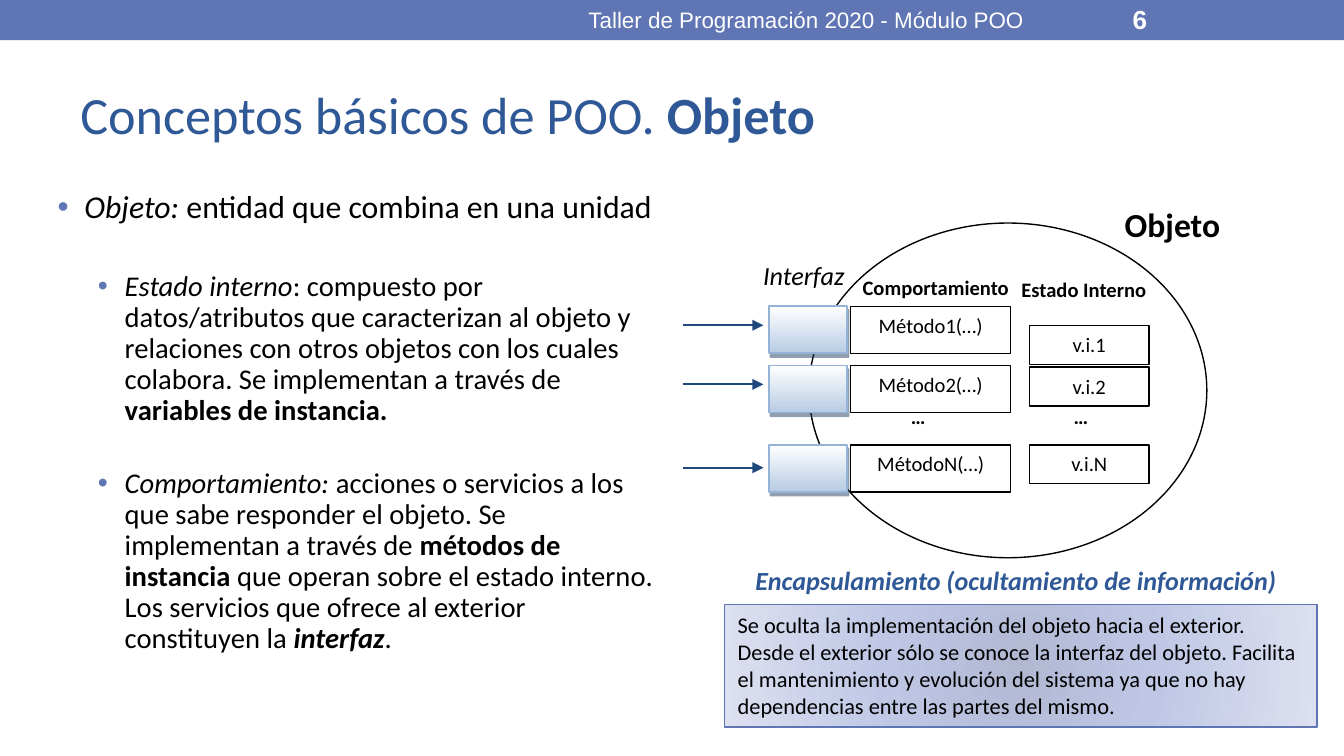
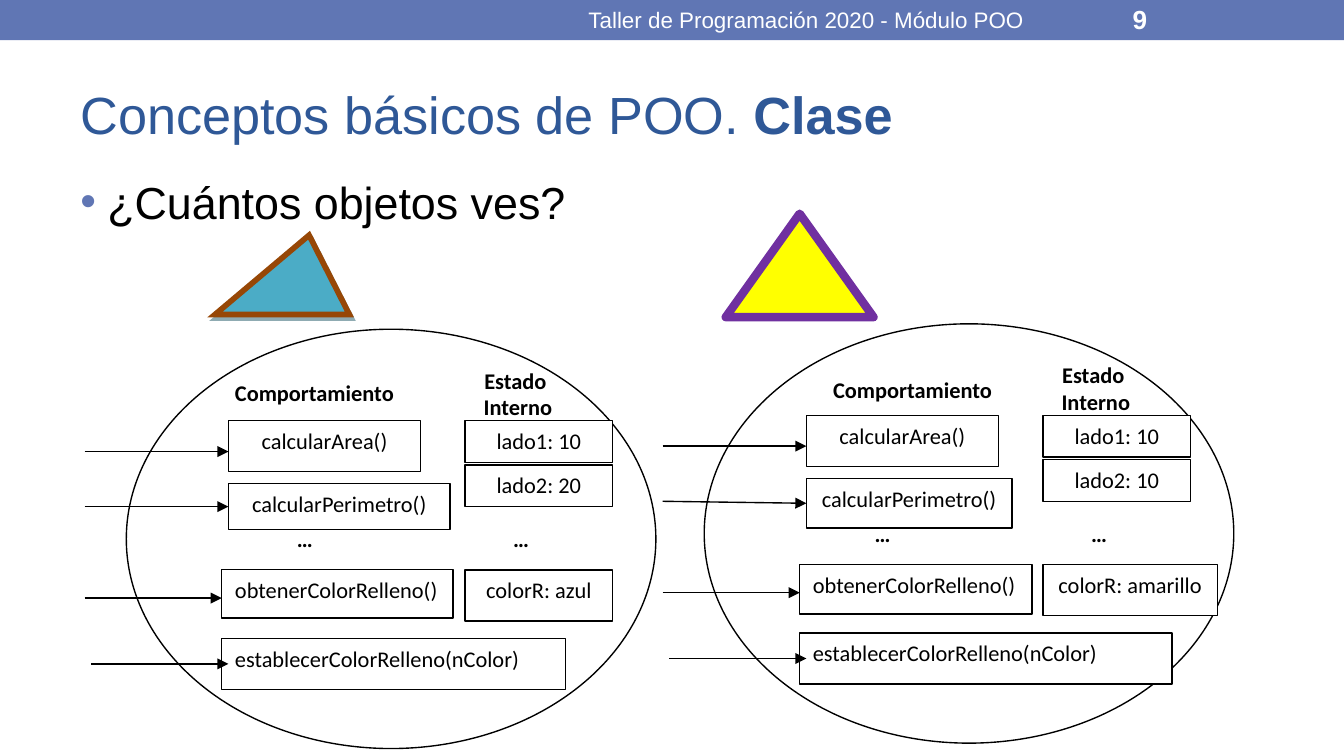
from pptx import Presentation
from pptx.dml.color import RGBColor
from pptx.enum.shapes import MSO_CONNECTOR as CONN, MSO_SHAPE as SHAPE
from pptx.enum.text import MSO_ANCHOR as ANCHOR, PP_ALIGN as ALIGN
from pptx.oxml import parse_xml
from pptx.oxml.ns import nsdecls, qn
from pptx.util import Inches, Pt

# Shared look
BAND = "6076B4"
TITLE = "2F5897"
BLACK = "000000"
WHITE = "FFFFFF"
NAVY = "1F497D"
FOOTER = "Taller de Programación 2020 - Módulo POO"
HEADING = "Conceptos básicos de POO. "


def rgb(value):
    return RGBColor.from_string(value)


def add_xml(parent, xml):
    """Append a drawing element written without its namespace declaration."""
    tag, rest = xml.split(" ", 1)
    parent.append(parse_xml(f"{tag} {nsdecls('a')} {rest}"))


# Text
def add_run(p, text, size=12, font="Calibri", color=BLACK, bold=False, italic=False):
    r = p.add_run()
    r.text = text
    f = r.font
    f.size, f.name, f.bold, f.italic = Pt(size), font, bold, italic
    f.color.rgb = rgb(color)


def set_bullet(p, left, hanging=0.2):
    pPr = p._p.get_or_add_pPr()
    pPr.set("marL", str(Inches(left)))
    pPr.set("indent", str(-Inches(hanging)))
    add_xml(pPr, f'<a:buClr ><a:srgbClr val="{BAND}"/></a:buClr>')
    add_xml(pPr, '<a:buFont typeface="Arial"/>')
    add_xml(pPr, '<a:buChar char="•"/>')


def prepare_frame(tf, anchor=ANCHOR.TOP):
    tf.word_wrap = True
    tf.vertical_anchor = anchor
    tf.margin_left = tf.margin_right = Inches(0.1)
    tf.margin_top = tf.margin_bottom = Inches(0.05)


def add_text(parent, at, *lines, align=ALIGN.LEFT, anchor=ANCHOR.TOP, **fmt):
    tf = parent.add_textbox(*map(Inches, at)).text_frame
    prepare_frame(tf, anchor)
    for i, line in enumerate(lines):
        p = tf.paragraphs[0] if i == 0 else tf.add_paragraph()
        p.alignment = align
        add_run(p, line, **fmt)
    return tf


# Shapes
def add_shape(parent, kind, at, fill=WHITE, line=BLACK, width=0.75):
    sp = parent.add_shape(kind, *map(Inches, at))
    sp.shadow.inherit = False
    sp.fill.solid()
    sp.fill.fore_color.rgb = rgb(fill)
    if line:
        sp.line.color.rgb = rgb(line)
        sp.line.width = Pt(width)
    else:
        sp.line.fill.background()
    return sp


def add_box(parent, at, text, size=12, align=ALIGN.CENTER, **look):
    sp = add_shape(parent, SHAPE.RECTANGLE, at, **look)
    prepare_frame(sp.text_frame)
    p = sp.text_frame.paragraphs[0]
    p.alignment = align
    add_run(p, text, size=size)
    return sp


def set_gradient(sp, stops, direction):
    gs = "".join(f'<a:gs pos="{pos * 1000}"><a:srgbClr val="{color}"/></a:gs>'
                 for pos, color in stops)
    spPr = sp._element.spPr
    spPr.replace(spPr.find(qn("a:solidFill")), parse_xml(
        f'<a:gradFill {nsdecls("a")} rotWithShape="1"><a:gsLst>{gs}</a:gsLst>'
        f"{direction}</a:gradFill>"))


def add_shadow(sp, color):
    add_xml(sp._element.spPr.find(qn("a:effectLst")),
            f'<a:outerShdw blurRad="0" dist="{Pt(2.2)}" dir="{63 * 60000}" '
            f'algn="ctr" rotWithShape="0"><a:srgbClr val="{color}">'
            '<a:alpha val="50000"/></a:srgbClr></a:outerShdw>')


def add_arrow(parent, x1, x2, y, color=BLACK, width=0.75, target=None):
    cx = parent.add_connector(CONN.STRAIGHT, *map(Inches, (x1, y, x2, y)))
    if target is not None:
        cx.end_connect(target, 1)
    cx.line.color.rgb = rgb(color)
    cx.line.width = Pt(width)
    add_xml(cx.line._get_or_add_ln(), '<a:tailEnd type="triangle"/>')
    add_xml(cx._element.spPr, "<a:effectLst />")


def add_triangle(parent, at, peak, fill, line, width, join):
    sp = add_shape(parent, SHAPE.ISOSCELES_TRIANGLE, at, fill, line, width)
    sp.adjustments[0] = peak
    add_xml(sp.line._get_or_add_ln(), join)
    return sp


# Slide frame: band, title, footer, number
def new_slide(prs, topic, number, font):
    s = prs.slides.add_slide(prs.slide_layouts[6])
    add_shape(s.shapes, SHAPE.RECTANGLE, (0, 0, 10, 0.3), BAND, None)
    tf = add_text(s.shapes, (0.5, 0.44, 9, 0.81), HEADING, anchor=ANCHOR.MIDDLE,
                  size=28, font=font, color=TITLE)
    add_run(tf.paragraphs[0], topic, size=28, font=font, color=TITLE, bold=True)
    add_text(s.shapes, (3.75, 0.01, 4.5, 0.27), FOOTER, align=ALIGN.CENTER,
             anchor=ANCHOR.MIDDLE, font="Arial", color=WHITE)
    add_text(s.shapes, (8.33, 0.01, 1.17, 0.27), str(number), anchor=ANCHOR.MIDDLE,
             size=14, font="Arial", color=WHITE, bold=True)
    return s


# Slide 1 parts
DEFINITION = [  # size, left indent, space before, runs
    (17, 0.2, 0, [("Objeto: ", "i"), ("entidad que combina en una unidad", "")]),
    (15.3, 0.5, 25.2, [
        ("Estado interno", "i"),
        (": compuesto por datos/atributos que caracterizan al objeto y relaciones con "
         "otros objetos con los cuales colabora. Se implementan a través de ", ""),
        ("variables de instancia.", "b")]),
    (15.3, 0.5, 23, [
        ("Comportamiento: ", "i"),
        ("acciones o servicios a los que sabe responder el objeto. "
         "Se implementan a través de ", ""),
        ("métodos de instancia", "b"),
        (" que operan sobre el estado interno. Los servicios que ofrece al exterior "
         "constituyen la ", ""),
        ("interfaz", "bi"), (".", "")]),
]


def add_definition(s):
    tf = s.shapes.add_textbox(*map(Inches, (0.33, 1.37, 4.7, 4.12))).text_frame
    prepare_frame(tf)
    for i, (size, left, before, runs) in enumerate(DEFINITION):
        p = tf.paragraphs[0] if i == 0 else tf.add_paragraph()
        p.level = int(i > 0)
        p.line_spacing = 0.9
        p.space_before = Pt(before)
        set_bullet(p, left)
        for text, style in runs:
            add_run(p, text, size=size, bold="b" in style, italic="i" in style)


def add_object_anatomy(s):
    g = s.shapes.add_group_shape().shapes
    add_shape(g, SHAPE.OVAL, (6.02, 1.66, 2.96, 2.49))
    rows = [("1", 2.28, 2.42, 2.42), ("2", 2.72, 2.73, 2.86), ("N", 3.31, 3.31, 3.48)]
    for name, method_y, state_y, arrow_y in rows:
        add_box(g, (6.33, method_y, 1.19, 0.35), f"Método{name}(…)", size=11)
        add_box(g, (7.66, state_y, 0.89, 0.29), f"v.i.{name}", size=11)
        port = add_shape(g, SHAPE.RECTANGLE, (5.72, method_y, 0.58, 0.35),
                         line="95B3D7", width=1)
        set_gradient(port, [(0, WHITE), (100, "B8CCE4")],
                     '<a:lin ang="5400000" scaled="0"/>')
        add_shadow(port, "243F60")
        add_arrow(g, 5.08, 5.68, arrow_y, NAVY, 1)
    add_text(g, (6.32, 2, 1.43, 0.45), "Comportamiento", size=11, bold=True)
    add_text(g, (7.4, 2.01, 1.33, 0.3), "Estado Interno", align=ALIGN.CENTER,
             size=11, bold=True)
    for x in (6.68, 7.89):
        add_text(g, (x, 2.96, 1.27, 0.43), "…", size=11, bold=True)
    add_text(g, (8.27, 1.47, 0.98, 0.41), "Objeto", size=18, bold=True)
    add_text(g, (5.58, 1.88, 0.87, 0.39), "Interfaz", size=14, italic=True)


def add_encapsulation(s):
    add_text(s.shapes, (5.25, 4.15, 4.62, 0.34),
             "Encapsulamiento (ocultamiento de información)", align=ALIGN.CENTER,
             size=14, color=TITLE, bold=True, italic=True)
    note = add_box(s.shapes, (5.39, 4.5, 4.41, 0.91),
                   "Se oculta la implementación del objeto hacia el exterior. Desde el "
                   "exterior sólo se conoce la interfaz del objeto. Facilita el "
                   "mantenimiento y evolución del sistema ya que no hay dependencias "
                   "entre las partes del mismo.", align=ALIGN.LEFT, line=BAND)
    set_gradient(note, [(0, "B2B8D2"), (45, "BFC7E5"), (100, "DCE0F0")],
                 '<a:path path="circle"><a:fillToRect l="50000" t="50000" '
                 'r="50000" b="50000"/></a:path>')


# Slide 2 parts
def add_instance(s, x, y, side2, fill_name, label, perimeter, getter, setter_w, fill_w):
    """Object diagram with its ellipse at x, y; sizes vary with the instance."""
    g = s.shapes.add_group_shape().shapes

    def at(dx, dy, w, h):
        return x + dx, y + dy, w, h

    add_shape(g, SHAPE.OVAL, at(0, 0, 3.94, 3.12))
    # Methods
    add_box(g, at(0.76, 0.68, 1.43, 0.38), "calcularArea()")
    perimeter_box = add_box(g, at(0.76, 1.15, *perimeter), "calcularPerimetro()")
    add_box(g, at(0.71, 1.79, *getter), "obtenerColorRelleno()", align=ALIGN.LEFT)
    add_box(g, at(0.71, 2.3, setter_w, 0.38), "establecerColorRelleno(nColor)",
            align=ALIGN.LEFT)
    # State
    for dy, w, h, text in [(0.68, 1.1, 0.31, "lado1: 10"),
                           (1.01, 1.1, 0.31, f"lado2: {side2}"),
                           (1.79, fill_w, 0.38, f"colorR: {fill_name}")]:
        add_box(g, at(2.52, dy, w, h), text)
    # Labels
    add_text(g, at(*label, 1.5, 0.43), "Comportamiento", bold=True)
    add_text(g, at(2.17, 0.23, 1.45, 0.43), "Estado", " Interno",
             align=ALIGN.CENTER, bold=True)
    for dx in (1.17, 2.78):
        add_text(g, at(dx, 1.41, 1.39, 0.47), "…", bold=True)
    # Messages
    for x1, x2, dy, target in [(-0.31, 0.76, 0.91, None),
                               (-0.31, 0.76, 1.32, perimeter_box),
                               (-0.31, 0.71, 2, None), (-0.26, 0.76, 2.49, None)]:
        add_arrow(g, x + x1, x + x2, y + dy, target=target)


def main():
    prs = Presentation()
    prs.slide_width = Inches(10)
    prs.slide_height = Inches(10 * 9 / 16)

    # Slide 1: object
    s = new_slide(prs, "Objeto", 6, "Calibri")
    add_definition(s)
    add_object_anatomy(s)
    add_encapsulation(s)

    # Slide 2: class
    s = new_slide(prs, "Clase", 9, "Arial")
    tf = add_text(s.shapes, (0.5, 1.25, 9.07, 0.87), "¿Cuántos objetos ves?",
                  size=24, font="Arial")
    set_bullet(tf.paragraphs[0], 0.2)
    add_instance(s, 0.94, 2.45, 20, "azul", label=(0.71, 0.32), perimeter=(1.65, 0.34),
                 getter=(1.72, 0.36), setter_w=2.56, fill_w=1.1)
    blue = add_triangle(s.shapes, (1.6, 1.75, 1, 0.59), 0.7, "4BACC6", "974706", 3,
                        '<a:miter lim="800000"/>')
    add_shadow(blue, "205867")
    add_triangle(s.shapes, (5.4, 1.59, 1.1, 0.77), 0.5, "FFFF00", "7030A0", 4.5,
                 "<a:round />")
    add_instance(s, 5.24, 2.41, 10, "amarillo", label=(0.86, 0.34),
                 perimeter=(1.53, 0.37), getter=(1.73, 0.37), setter_w=2.77, fill_w=1.3)

    prs.save("out.pptx")


if __name__ == "__main__":
    main()
